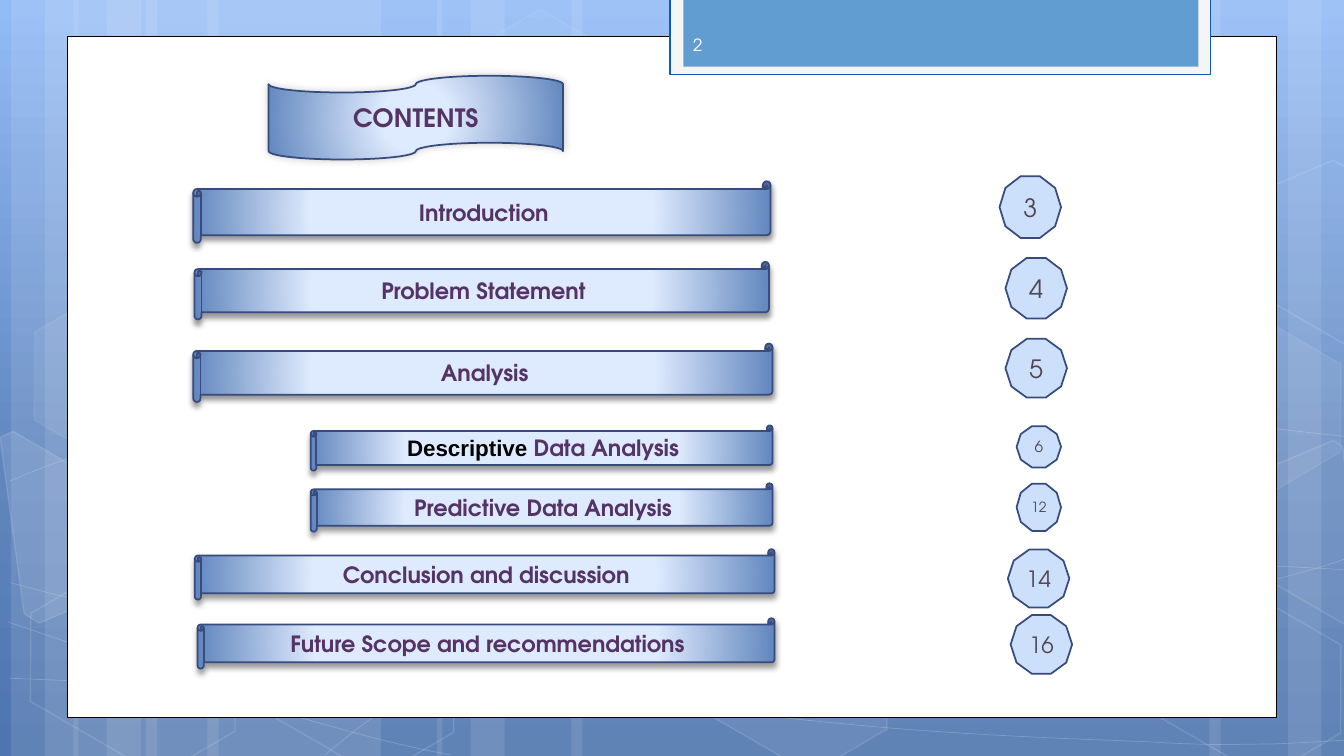
from dataclasses import dataclass

from lxml import etree
from pptx import Presentation
from pptx.dml.color import RGBColor
from pptx.enum.shapes import MSO_SHAPE
from pptx.enum.text import MSO_ANCHOR, PP_ALIGN
from pptx.oxml import parse_xml
from pptx.oxml.ns import nsdecls, qn
from pptx.util import Cm, Pt

RECT, HEXAGON, DECAGON = MSO_SHAPE.RECTANGLE, MSO_SHAPE.HEXAGON, MSO_SHAPE.DECAGON
TAPE, SCROLL = MSO_SHAPE.FLOWCHART_PUNCHED_TAPE, MSO_SHAPE.HORIZONTAL_SCROLL
LEFT, CENTER, MIDDLE = PP_ALIGN.LEFT, PP_ALIGN.CENTER, MSO_ANCHOR.MIDDLE


@dataclass(frozen=True)
class Theme:
    """Colours, fonts and type sizes of the deck."""
    font: str = "TeX Gyre Adventor"
    plain_font: str = "Arial"
    white: str = "FFFFFF"
    black: str = "000000"
    sky: str = "93BBF6"
    pale: str = "DEEAFD"
    mid: str = "6186BE"
    deep: str = "4F75AE"
    outline: str = "374B7F"
    badge: str = "CDE0FB"
    heading: str = "543466"
    digit: str = "504652"
    tab_edge: str = "0E58C4"
    tab_back: str = "F5F5F5"
    tab: str = "629DD1"
    tab_text: str = "FEFEFE"
    title_size: int = 18
    entry_size: int = 16
    number_size: int = 12


T = Theme()

STRIPES = [(3.68, 5.92), (0.28, 1.7), (1.14, 2.82), (5.23, 5.92), (1.85, 1.7), (2.69, 2.82),
           (24.84, 5.92), (32.46, 1.7), (30.48, 2.82), (14.4, 10.44), (11.02, 1.7), (11.86, 2.82)]
CURVES = [
    [(0.25, 17.09), (2.08, 17.17), (3.91, 17.25), (6.45, 17.22), (8.99, 17.2), (12.12, 17.15),
     (15.49, 16.89), (18.9, 16.64), (23.7, 16.13), (26.8, 15.67), (29.92, 15.19), (33.1, 14.43),
     (34.11, 14)],
    [(0.25, 12.12), (1.22, 11.71), (2.18, 11.33), (4.11, 10.95), (6.05, 10.57), (8.76, 10.01),
     (11.76, 9.83), (14.78, 9.65), (18.42, 9.63), (22.15, 9.83), (25.88, 10.03), (32.08, 10.82),
     (34.11, 11.02)],
    [(0.2, 15.67), (4.29, 17.07), (8.38, 18.47), (11.33, 19.02)],
    [(0.25, 14.68), (1.3, 14.96), (2.36, 15.24), (4.34, 15.65), (6.3, 16.03), (9.25, 16.66),
     (12.07, 17.09), (14.88, 17.53), (18.47, 17.98), (21.26, 18.24), (24.08, 18.52),
     (27.08, 18.62), (28.88, 18.69), (30.66, 18.8), (31.12, 18.75), (32, 18.75), (32.87, 18.72),
     (33.5, 18.67), (34.11, 18.64)],
    [(8.2, 19.02), (8.8, 18.52), (9.4, 18.01), (10.24, 17.55), (11.05, 17.09), (12.19, 16.59),
     (13.13, 16.23), (14.07, 15.88), (14.66, 15.72), (15.9, 15.47), (17.15, 15.21),
     (19.43, 14.86), (20.6, 14.68), (21.79, 14.5), (21.97, 14.5), (23.04, 14.45), (24.08, 14.38),
     (25.73, 14.3), (26.9, 14.27), (28.07, 14.25), (30.02, 14.27), (30.02, 14.27),
     (30.02, 14.27), (32.26, 14.27), (32.26, 14.27), (32.89, 14.3), (33.44, 14.33),
     (33.76, 14.35), (34.06, 14.38), (33.96, 14.35), (34.06, 14.38)],
]
HEXAGONS = [(11.3, 0.91, 4, 8), (16.81, 14.96, 6, 12), (0.38, 15.01, 0, 12), (0.48, 7.92, 7, 8),
            (5.89, 15.04, 0, 12), (28.24, 15.06, 0, 12), (28.24, 7.98, 7, 8)]
EDGE_HEXAGONS = [
    ([(0, 11.02), (0.33, 10.87), (2.92, 12.37), (3.23, 14.76), (0.99, 15.7), (0.61, 15.47)], 10),
    ([(31.37, 12.04), (33.6, 11.1), (33.83, 11.25), (34.47, 15.88), (34.26, 15.95),
      (31.67, 14.45)], 4),
    ([(31.37, 4.98), (33.6, 4.04), (33.88, 4.19), (34.47, 8.79), (34.26, 8.89), (31.67, 7.39)], 0),
]
ENTRIES = [
    ("Introduction", (4.87, 4.57, 14.55, 1.55), "3", (25.19, 4.44, 1.55, 1.56), 18),
    ("Problem Statement", (4.9, 6.6, 14.48, 1.45), "4", (25.34, 6.5, 1.55, 1.53), 18),
    ("Analysis", (4.87, 8.66, 14.6, 1.47), "5", (25.34, 8.54, 1.55, 1.48), 18),
    ("Descriptive |Data Analysis", (7.83, 10.72, 11.64, 1.14), "6", (25.62, 10.74, 1.12, 1.04), 11),
    ("Predictive Data Analysis", (7.83, 12.18, 11.64, 1.22), "12", (25.62, 12.19, 1.12, 1.19), 10),
    ("Conclusion and discussion", (4.91, 13.84, 14.61, 1.27), "14", (25.4, 13.85, 1.55, 1.46), 16),
    ("Future Scope and recommendations", (4.98, 15.58, 14.54, 1.27), "16",
     (25.47, 15.5, 1.55, 1.48), 16),
]


def gradient(stops, direction):
    """Return a gradient fill element."""
    gs = "".join(f'<a:gs pos="{pos * 1000}"><a:srgbClr val="{c}"/></a:gs>' for pos, c in stops)
    return parse_xml(f'<a:gradFill {nsdecls("a")} rotWithShape="1"><a:gsLst>{gs}</a:gsLst>'
                     f'{direction}</a:gradFill>')


def set_alpha(fill, percent):
    """Make a solid fill element partly transparent."""
    if percent < 100:
        etree.SubElement(fill[0], qn("a:alpha")).set("val", str(percent * 1000))


def paint(sp, fill=None, line=None, width=1.25, fill_alpha=100, line_alpha=100):
    """Set fill, line and opacity of a shape and remove its shadow."""
    sp.shadow.inherit = False
    spPr = sp._element.spPr
    if fill and fill_alpha:
        sp.fill.solid()
        sp.fill.fore_color.rgb = RGBColor.from_string(fill)
        set_alpha(spPr.find(qn("a:solidFill")), fill_alpha)
    else:
        sp.fill.background()
    if line:
        sp.line.color.rgb = RGBColor.from_string(line)
        sp.line.width = Pt(width)
        set_alpha(spPr.find(qn("a:ln")).find(qn("a:solidFill")), line_alpha)
    else:
        sp.line.fill.background()


def add_box(s, kind, box, **look):
    """Add a painted preset shape in a box given in centimetres."""
    sp = s.shapes.add_shape(kind, *map(Cm, box))
    paint(sp, **look)
    return sp


def add_outline(s, points, closed, **look):
    """Add a freeform through points given in centimetres."""
    first, *rest = [(Cm(x), Cm(y)) for x, y in points]
    fb = s.shapes.build_freeform(*first)
    fb.add_line_segments(rest, close=closed)
    sp = fb.convert_to_shape()
    paint(sp, **look)
    return sp


def add_curve(s, knots, **look):
    """Add an open chain of cubic curves, three knots to a segment."""
    sp = add_outline(s, knots, False, **look)
    segments = list(sp._element.spPr.iter(qn("a:lnTo")))
    for i in range(0, len(segments), 3):
        head, *others = segments[i:i + 3]
        curve = etree.Element(qn("a:cubicBezTo"))
        head.addprevious(curve)
        for segment in (head, *others):
            curve.append(segment[0])
            segment.getparent().remove(segment)


def write(sp, runs, size, bold=False, align=CENTER):
    """Write runs of (text, font, colour) into a shape."""
    tf = sp.text_frame
    tf.word_wrap = True
    tf.vertical_anchor = MIDDLE
    tf.margin_top = tf.margin_bottom = 0
    if align == CENTER:
        tf.margin_left = tf.margin_right = 0
    p = tf.paragraphs[0]
    p.alignment = align
    for text, font, color in runs:
        r = p.add_run()
        r.text = text
        r.font.name, r.font.size, r.font.bold = font, Pt(size), bold
        r.font.color.rgb = RGBColor.from_string(color)


def add_banner(s, kind, box, runs, size, light_to, shadow):
    """Add a radially shaded, shadowed banner with bold text."""
    sp = add_box(s, kind, box, fill=T.pale, line=T.outline)
    spPr = sp._element.spPr
    stops = [(light_to, T.pale), (100, T.mid), (100, T.deep)]
    center = '<a:path path="circle"><a:fillToRect l="50000" t="50000" r="50000" b="50000"/></a:path>'
    spPr.replace(spPr.find(qn("a:solidFill")), gradient(stops, center))
    alpha, blur, dist, angle = shadow
    spPr.find(qn("a:effectLst")).append(parse_xml(
        f'<a:outerShdw {nsdecls("a")} blurRad="{Pt(blur)}" dist="{Pt(dist)}" dir="{angle * 60000}" '
        f'rotWithShape="0"><a:srgbClr val="{T.black}"><a:alpha val="{alpha * 1000}"/></a:srgbClr>'
        '</a:outerShdw>'))
    write(sp, runs, size, bold=True)


def add_backdrop(s, height):
    """Draw the blue background with stripes, curves and hexagons."""
    s.background.fill.solid()
    bgPr = s._element.cSld.bg.bgPr
    bgPr.replace(bgPr.find(qn("a:solidFill")),
                 gradient([(0, T.sky), (62, T.mid), (100, T.deep)], '<a:lin ang="5400000" scaled="0"/>'))
    for x, w in STRIPES:
        add_box(s, RECT, (x, 0, w, height), fill=T.white, fill_alpha=10)
    for knots in CURVES:
        add_curve(s, knots, line=T.white, width=0.5, line_alpha=20)
    for x, y, fill_alpha, line_alpha in HEXAGONS:
        sp = add_box(s, HEXAGON, (x, y, 5.94, 3.86), fill=T.white, line=T.white, width=1,
                     fill_alpha=fill_alpha, line_alpha=line_alpha)
        sp.adjustments[0] = 0.285
        sp.rotation = 30
    for points, alpha in EDGE_HEXAGONS:
        add_outline(s, points, True, fill=T.white, line=T.white, width=1,
                    fill_alpha=alpha, line_alpha=12)


def add_page_tab(s, box, number):
    """Draw the tab at the top with the slide number."""
    x, y, w, h = box
    add_box(s, RECT, box, fill=T.tab_back, line=T.tab_edge)
    add_box(s, RECT, (x + 0.33, y, w - 0.64, h - 0.2), fill=T.tab)
    tb = s.shapes.add_textbox(*map(Cm, (x + 0.33, y + 0.67, 4.93, 1.02)))
    write(tb, [(number, T.font, T.tab_text)], T.number_size, align=LEFT)


def add_entry(s, label, bar, page, badge, page_size):
    """Add one contents line: a scroll and its page badge."""
    *lead, main_text = label.split("|")
    runs = [(text, T.plain_font, T.black) for text in lead] + [(main_text, T.font, T.heading)]
    add_banner(s, SCROLL, bar, runs, T.entry_size, 59, (40, 4, 3, 90))
    sp = add_box(s, DECAGON, badge, fill=T.badge, line=T.outline)
    write(sp, [(page, T.font, T.digit)], page_size)
    sp.text_frame.word_wrap = False


def main():
    """Build the contents slide."""
    prs = Presentation()
    prs.slide_width, prs.slide_height = Cm(33.87), Cm(19.05)
    s = prs.slides.add_slide(prs.slide_layouts[6])
    add_backdrop(s, 19.05)
    add_box(s, RECT, (1.7, 0.92, 30.47, 17.17), fill=T.white, line=T.black, width=0.5)
    add_page_tab(s, (16.89, -0.05, 13.62, 1.93), "2")
    add_banner(s, TAPE, (6.77, 1.91, 7.42, 2.11), [("CONTENTS", T.font, T.heading)],
               T.title_size, 22, (20, 6, 0, 225))
    for entry in ENTRIES:
        add_entry(s, *entry)
    prs.save("out.pptx")


if __name__ == "__main__":
    main()
